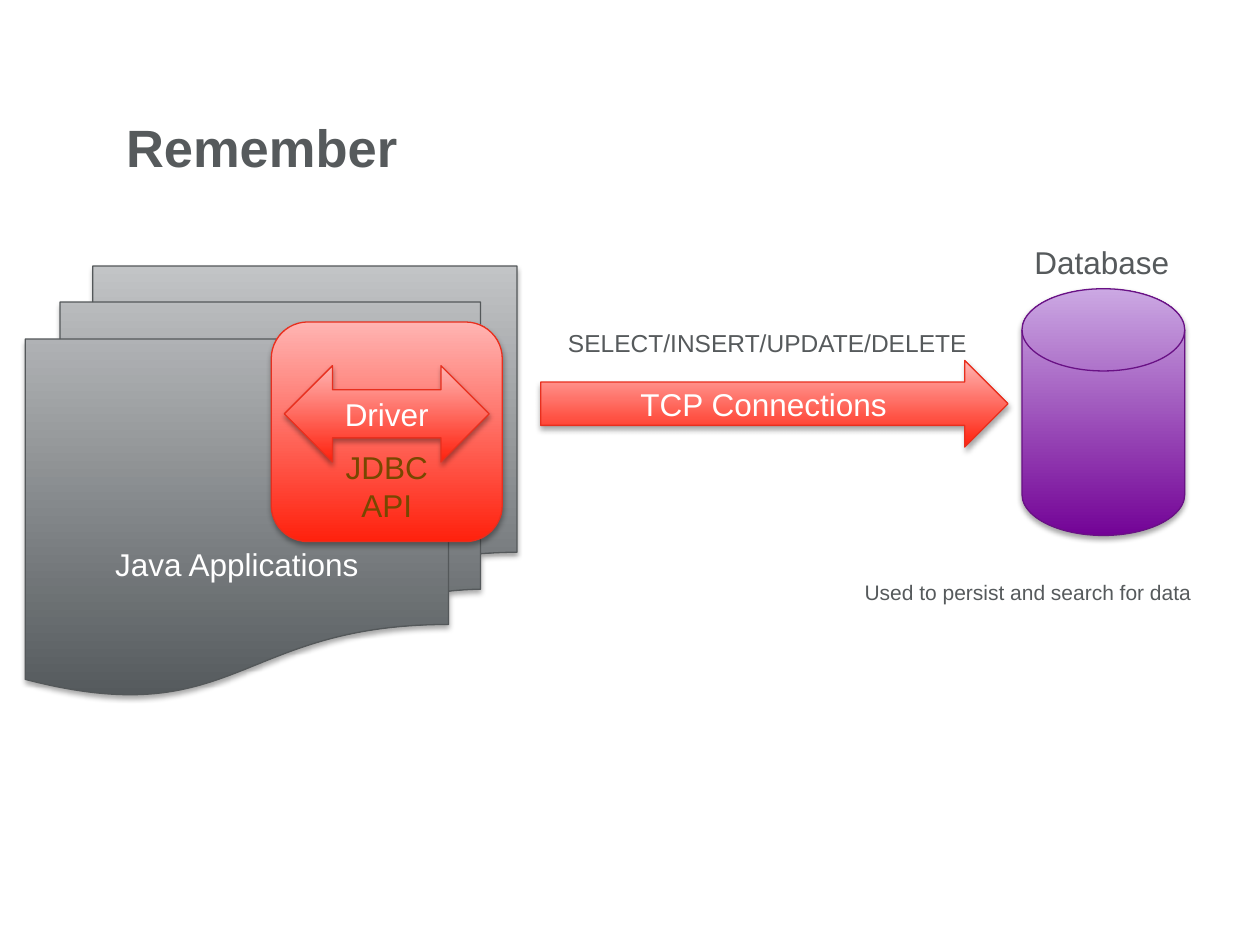
from dataclasses import dataclass

from lxml.etree import SubElement
from pptx import Presentation
from pptx.dml.color import RGBColor
from pptx.enum.shapes import MSO_SHAPE as Shape
from pptx.enum.text import MSO_ANCHOR as Anchor, PP_ALIGN as Align
from pptx.oxml.ns import qn
from pptx.util import Pt


@dataclass(frozen=True)
class Theme:
    font: str = "Arial"
    text: str = "565A5C"
    light: str = "FFFFFF"
    brown: str = "784700"
    shadow: str = "000000"
    red: tuple = ("FF210D", "FFB4B2", "E82F1E")
    purple: tuple = ("730396", "CBA8E3", "691185")
    gray: tuple = ("555A5D", "C2C4C6", "54585A")
    title: int = 30
    body: int = 18
    label: int = 14
    note: int = 12


THEME = Theme()
INSET = 3.6
LINE_HEIGHT = 20.7


def apply(target, values):
    for name, value in values.items():
        setattr(target, name, value)


def points(box):
    return [Pt(value) for value in box]


def write(shape, lines, size, color, align=Align.LEFT, bold=False, **frame_values):
    frame = shape.text_frame
    apply(frame, {"word_wrap": True, **frame_values})
    for index, line in enumerate(lines):
        paragraph = frame.add_paragraph() if index else frame.paragraphs[0]
        paragraph.alignment = align
        run = paragraph.add_run()
        run.text = line
        apply(run.font, {"name": THEME.font, "size": Pt(size), "bold": bold})
        run.font.color.rgb = RGBColor.from_string(color)


def add_shadow(shape):
    shape.shadow.inherit = False
    effects = shape._element.spPr.find(qn("a:effectLst"))
    shadow = SubElement(effects, qn("a:outerShdw"), blurRad=str(Pt(3.1)),
                        dist=str(Pt(1.8)), dir="5400000", rotWithShape="0")
    color = SubElement(shadow, qn("a:srgbClr"), val=THEME.shadow)
    SubElement(color, qn("a:alpha"), val="35000")


def add_block(shapes, kind, box, colors, lines=(), color=THEME.light, lines_down=0):
    shape = shapes.add_shape(kind, *points(box))
    bottom, top, outline = colors
    shape.fill.gradient()
    shape.fill.gradient_angle = 90
    for stop, value in zip(shape.fill.gradient_stops, (bottom, top)):
        stop.color.rgb = RGBColor.from_string(value)
    for stop, position in zip(shape.fill.gradient_stops, (0, 1)):
        stop.position = position
    shape.line.color.rgb = RGBColor.from_string(outline)
    shape.line.width = Pt(0.75)
    add_shadow(shape)
    write(shape, lines, THEME.body, color, Align.CENTER,
          vertical_anchor=Anchor.MIDDLE,
          margin_top=Pt(INSET + lines_down * LINE_HEIGHT))


def add_label(shapes, box, text, size, **values):
    label = shapes.add_textbox(*points(box))
    write(label, [text], size, THEME.text, **values)
    return label


def add_title(shapes, text):
    title = add_label(shapes, (69, 60.5, 326, 47), text, THEME.title, bold=True,
                      vertical_anchor=Anchor.MIDDLE, margin_left=Pt(3),
                      margin_top=0, margin_right=0, margin_bottom=0)
    title.fill.solid()
    title.fill.fore_color.rgb = RGBColor.from_string(THEME.light)


def add_database(shapes):
    add_block(shapes, Shape.FLOWCHART_MAGNETIC_DISK, (584, 165, 93, 141), THEME.purple)
    add_label(shapes, (584, 135.5, 92, 29), "Database", THEME.body, word_wrap=False)
    add_label(shapes, (487, 327.5, 209, 22), "Used to persist and search for data",
              THEME.note)


def add_connection(shapes):
    add_block(shapes, Shape.RIGHT_ARROW, (309, 206, 267, 49.5), THEME.red,
              ["TCP Connections"])
    add_label(shapes, (317.5, 184, 244, 24.5), "SELECT/INSERT/UPDATE/DELETE",
              THEME.label, word_wrap=False)


def add_applications(shapes):
    add_block(shapes, Shape.FLOWCHART_MULTIDOCUMENT, (14.4, 152, 281, 245.5),
              THEME.gray, ["Java Applications"], lines_down=3)
    driver = shapes.add_group_shape().shapes
    add_block(driver, Shape.ROUNDED_RECTANGLE, (155, 184, 132, 125.5), THEME.red,
              ["JDBC", "API"], THEME.brown, lines_down=3)
    add_block(driver, Shape.LEFT_RIGHT_ARROW, (162.5, 209, 117, 55), THEME.red,
              ["Driver"])


def main():
    presentation = Presentation()
    apply(presentation, {"slide_width": Pt(720), "slide_height": Pt(540)})
    shapes = presentation.slides.add_slide(presentation.slide_layouts[6]).shapes
    add_title(shapes, "Remember")
    add_database(shapes)
    add_connection(shapes)
    add_applications(shapes)
    presentation.save("out.pptx")


main()
